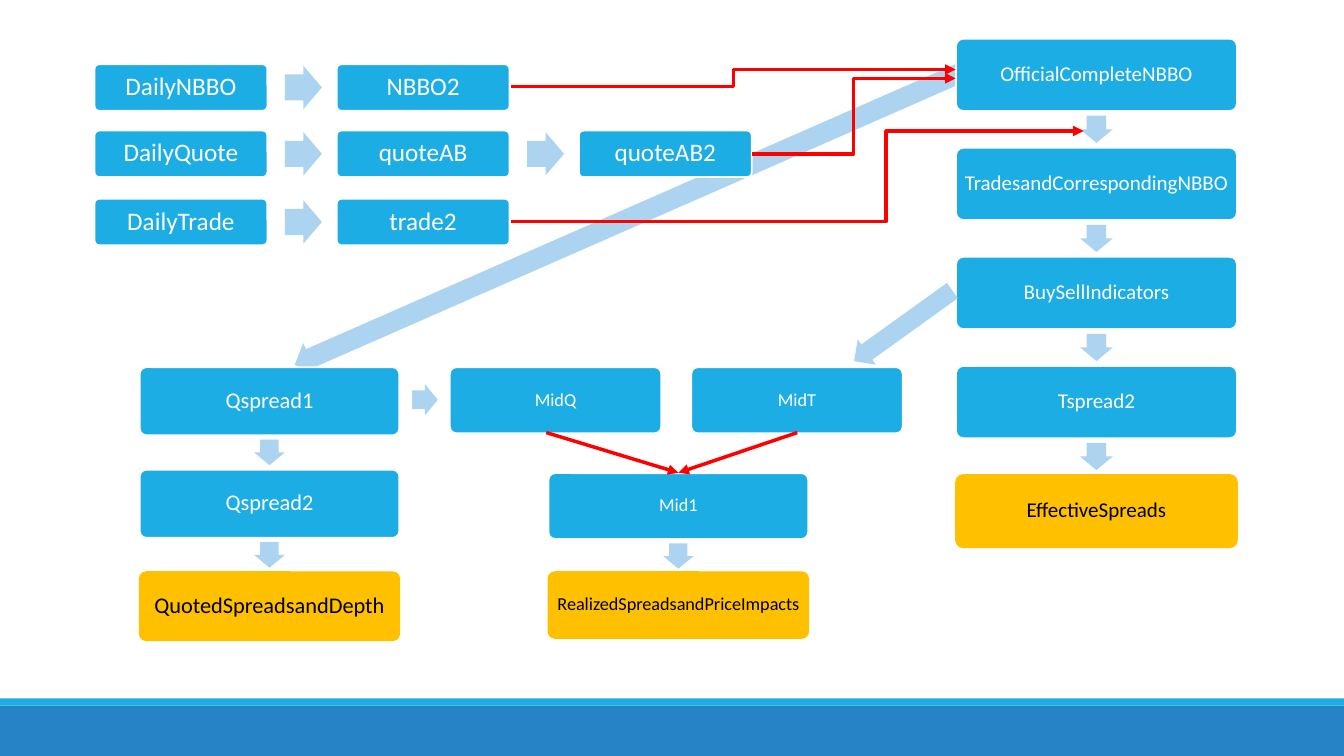
import pptx
import pptx.util
import pptx.dml.color
import pptx.enum.shapes
import pptx.enum.text
import pptx.oxml
import pptx.oxml.ns

Pt = pptx.util.Pt
Kind = pptx.enum.shapes.MSO_SHAPE
Link = pptx.enum.shapes.MSO_CONNECTOR
HUES = {"box": "1CADE4", "end": "FFC000", "flow": "ACD3EF", "link": "FF0000",
        "band": "2683C6", "light": "FFFFFF", "dark": "000000"}
FRAME = {"margin_left": 0, "margin_right": 0, "margin_top": 0, "margin_bottom": 0,
         "word_wrap": False, "vertical_anchor": pptx.enum.text.MSO_ANCHOR.MIDDLE}
PARA = {"alignment": pptx.enum.text.PP_ALIGN.CENTER, "line_spacing": 0.9}


def hue(name):
    """Return the named colour."""
    return pptx.dml.color.RGBColor.from_string(HUES[name])


def apply(item, values):
    """Set each format value on the item."""
    for name, value in values.items():
        setattr(item, name, value)


class Chart:
    """Holds the style and the current slide."""

    def __init__(self, slide, font="Calibri"):
        """Keep the slide and the font."""
        self.slide, self.font = slide, font

    def shape(self, kind, x, y, w, h, fill, edge=None):
        """Add a filled shape."""
        item = self.slide.shapes.add_shape(kind, Pt(x), Pt(y), Pt(w), Pt(h))
        item.shadow.inherit = False
        item.fill.solid()
        item.fill.fore_color.rgb = hue(fill)
        if edge:
            item.line.color.rgb = hue(edge)
            item.line.width = Pt(1.25)
        else:
            item.line.fill.background()
        return item

    def box(self, label, x, y, w, h, size, last=False):
        """Add a labelled rounded box, gold when it is a final result."""
        fill, edge, ink = ("end", "end", "dark") if last else ("box", "light", "light")
        item = self.shape(Kind.ROUNDED_RECTANGLE, x, y, w, h, fill, edge)
        item.adjustments[0] = 0.1
        apply(item.text_frame, FRAME)
        para = item.text_frame.paragraphs[0]
        para.text = label
        apply(para, PARA)
        apply(para.font, {"size": Pt(size), "name": self.font})
        para.font.color.rgb = hue(ink)

    def arrow(self, x, y, w, h, turn=0, kind=Kind.RIGHT_ARROW):
        """Add a pale block arrow."""
        item = self.shape(kind, x, y, w, h, "flow")
        item.adjustments[0], item.adjustments[1] = 0.6, 0.5
        item.rotation = turn

    def stack(self, labels, x, y, w, h, step, size, head, gap):
        """Add a column of boxes joined by down arrows, ending in a result."""
        for row, label in enumerate(labels):
            top = y + row * step
            last = row == len(labels) - 1
            self.box(label, x, top, w, h, size, last)
            if not last:
                wide, high = head
                self.arrow(x + (w - wide) / 2, top + h + gap, wide, high,
                           kind=Kind.DOWN_ARROW)

    def link(self, kind, start, end, bend=None):
        """Add a red line with an arrowhead."""
        line = self.slide.shapes.add_connector(kind, *map(Pt, start + end))
        line.line.color.rgb = hue("link")
        line.line.width = Pt(2.5)
        make, name = pptx.oxml.parse_xml, pptx.oxml.ns.nsdecls("a")
        line.line._get_or_add_ln().append(make(f'<a:tailEnd {name} type="triangle"/>'))
        props = line._element.spPr
        props.append(make(f"<a:effectLst {name}/>"))
        if bend:
            guides = props.find(".//" + pptx.oxml.ns.qn("a:avLst"))
            guides.append(make(f'<a:gd {name} name="adj1" fmla="val {bend}"/>'))


deck = pptx.Presentation()
deck.slide_width, deck.slide_height = Pt(960), Pt(540)
flow = Chart(deck.slides.add_slide(deck.slide_layouts[6]))

flow.shape(Kind.RECTANGLE, 0, 504, 960, 36, "band")
flow.shape(Kind.RECTANGLE, 0, 498.8, 960, 5.2, "box")
flow.arrow(188.6, 144.7, 518.4, 23.8, 156.3)

inputs = [(45.9, ["DailyNBBO", "NBBO2"]),
          (93.3, ["DailyQuote", "quoteAB", "quoteAB2"]),
          (142, ["DailyTrade", "trade2"])]
for top, names in inputs:
    for col, name in enumerate(names):
        left = 67.5 + 173 * col
        flow.box(name, left, top, 123.5, 33.2, 18)
        if col:
            flow.arrow(left - 37, top + 1.1, 26.4, 31)

flow.stack(["OfficialCompleteNBBO", "TradesandCorrespondingNBBO", "BuySellIndicators",
            "Tspread2", "EffectiveSpreads"],
           682.9, 27.7, 200.6, 51.6, 77.9, 15, (23.3, 19.4), 3.4)
flow.stack(["Qspread1", "Qspread2", "QuotedSpreadsandDepth"],
           99.8, 262.3, 185.4, 48.7, 73.2, 16, (22, 18.3), 3)
flow.stack(["Mid1", "RealizedSpreadsandPriceImpacts"],
           391.8, 338, 185.5, 47, 70.7, 13, (21.8, 18), 3.2)
for left, name in [(321.3, "MidQ"), (493.8, "MidT")]:
    flow.box(name, left, 262.3, 151, 47.2, 13)
flow.arrow(294.4, 274.4, 18.3, 22.3)
flow.arrow(602, 221.6, 86.4, 22.3, 144.3)

flow.link(Link.ELBOW, (365, 62), (682.6, 49.7))
flow.link(Link.ELBOW, (537, 110), (682.6, 56))
flow.link(Link.ELBOW, (365, 158.4), (774, 93.6), 65500)
for left in (390.2, 569.5):
    flow.link(Link.STRAIGHT, (left, 309), (484.6, 337.7))

deck.save("out.pptx")
